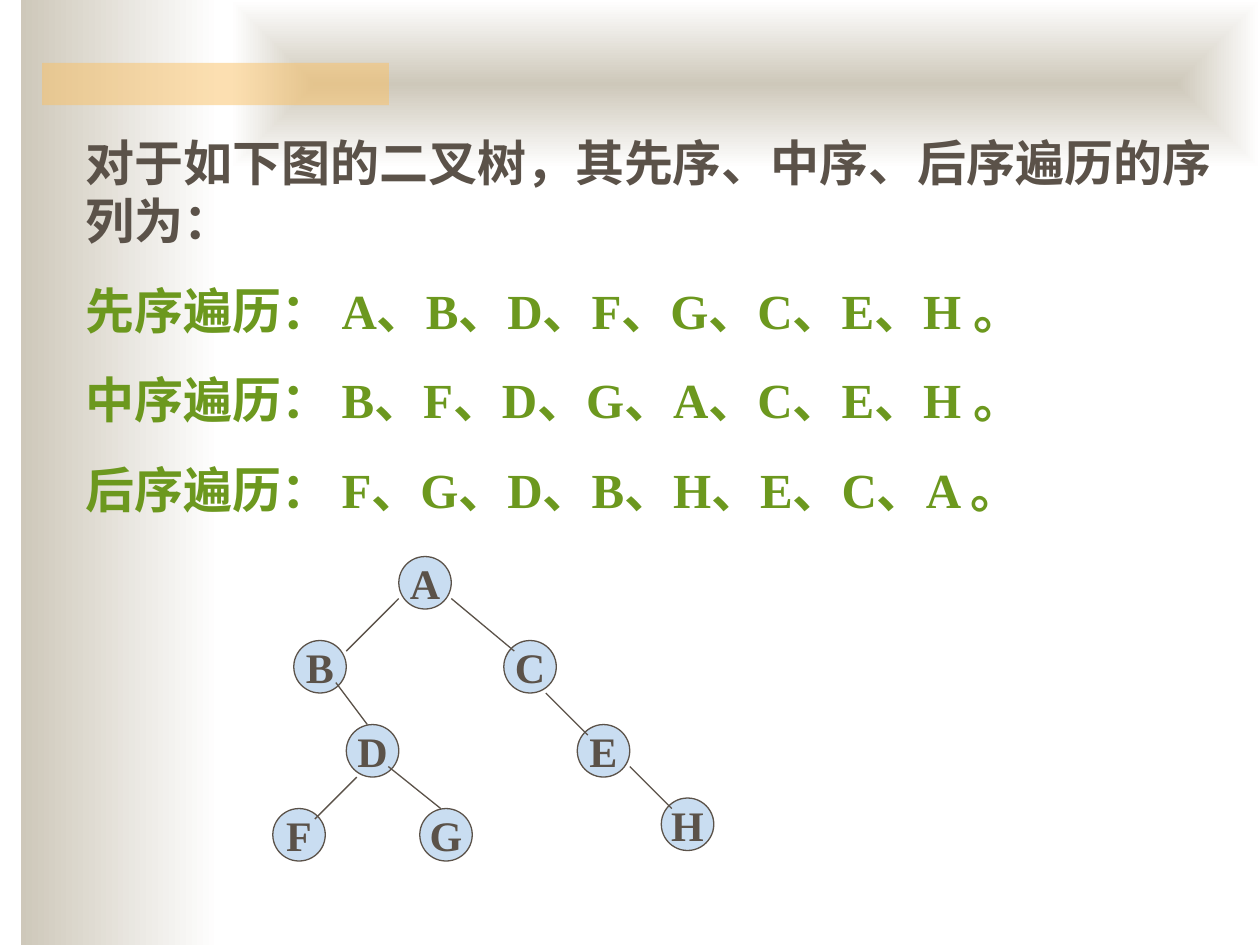
import pptx
import pptx.util
import pptx.dml.color
import pptx.enum.shapes
import pptx.enum.text
import pptx.oxml.ns
from lxml import etree
from pptx.util import Cm, Pt

COLORS = {"ink": "5B5249", "answer": "6C981E", "node": "C9DDF1",
          "sand": "CEC8BA", "white": "FFFFFF", "accent": "FAC164"}
FONT = "Times New Roman"
UNIT = 2.54 / 12  # the tree sits on a grid of twelfths of an inch
NODE_SIZE = 5

# Top-left corner of each node, in grid units
NODES = {"A": (12, 0), "B": (2, 8), "C": (22, 8), "D": (7, 16),
         "F": (0, 24), "G": (14, 24), "E": (29, 16), "H": (37, 23)}
# Ends of each branch, in grid units
BRANCHES = [((12, 4), (7, 9)), ((17, 4), (23, 9)), ((6, 12), (9, 16)),
            ((8, 21), (4, 25)), ((11, 20), (16, 24)),
            ((34, 20), (38, 24)), ((26, 13), (30, 17))]

QUESTION = "对于如下图的二叉树，其先序、中序、后序遍历的序列为："
TRAVERSALS = {"先序": "ABDFGCEH", "中序": "BFDGACEH", "后序": "FGDBHECA"}


def rgb(name):
    return pptx.dml.color.RGBColor.from_string(COLORS[name])


def qn(tag):
    return pptx.oxml.ns.qn(tag)


def add_preset(slide, preset, left, top, width, height):
    shape = slide.shapes.add_shape(preset, Cm(left), Cm(top), Cm(width), Cm(height))
    shape.shadow.inherit = False
    shape.line.fill.background()
    return shape


def style_text(paragraph, size, color):
    for run in paragraph.runs:
        run.font.name = FONT
        run.font.size = Pt(size)
        run.font.bold = True
        run.font.color.rgb = rgb(color)


def fade_to_white(shape):
    shape.fill.gradient()
    shape.fill.gradient_angle = 0
    for stop, color, position in zip(shape.fill.gradient_stops, ("sand", "white"), (0, 1)):
        stop.color.rgb = rgb(color)
        stop.position = position


def add_backdrop(slide, left, top, width, height):
    rectangle = pptx.enum.shapes.MSO_SHAPE.RECTANGLE

    # Side band fading to the right
    side_band = add_preset(slide, rectangle, left + 0.42, top, 4.02, height)
    fade_to_white(side_band)

    # Top band fading from its centre outwards
    top_band = add_preset(slide, rectangle, left + 4.66, top, width - 4.66, 3.39)
    fade_to_white(top_band)
    gradient = top_band.element.spPr.find(qn("a:gradFill"))
    gradient.remove(gradient.find(qn("a:lin")))
    shade = etree.SubElement(gradient, qn("a:path"), {"path": "rect"})
    etree.SubElement(shade, qn("a:fillToRect"),
                     {side: "50000" for side in "ltrb"})

    # Half-transparent accent bar
    accent = add_preset(slide, rectangle, left + 0.85, top + 1.27, 6.99, 0.85)
    accent.fill.solid()
    accent.fill.fore_color.rgb = rgb("accent")
    accent_color = accent.element.spPr.find(qn("a:solidFill"))[0]
    etree.SubElement(accent_color, qn("a:alpha"), {"val": "50000"})


def add_sequences(slide, left, top, width, height):
    box = slide.shapes.add_textbox(Cm(left), Cm(top), Cm(width), Cm(height))
    frame = box.text_frame
    frame.word_wrap = True
    question = frame.paragraphs[0]
    question.text = QUESTION
    style_text(question, 28, "ink")
    for order, letters in TRAVERSALS.items():
        answer = frame.add_paragraph()
        answer.text = f"{order}遍历： {'、'.join(letters)} 。"
        answer.space_before = Pt(17.5)
        style_text(answer, 28, "answer")


def add_tree(slide, left, top):
    def place(point):
        return left + point[0] * UNIT, top + point[1] * UNIT

    # Nodes
    for letter, corner in NODES.items():
        node = add_preset(slide, pptx.enum.shapes.MSO_SHAPE.OVAL, *place(corner),
                          NODE_SIZE * UNIT, NODE_SIZE * UNIT)
        node.fill.solid()
        node.fill.fore_color.rgb = rgb("node")
        node.line.color.rgb = rgb("ink")
        node.line.width = Pt(0.75)
        frame = node.text_frame
        frame.word_wrap = False
        frame.vertical_anchor = pptx.enum.text.MSO_ANCHOR.MIDDLE
        label = frame.paragraphs[0]
        label.text = letter
        label.alignment = pptx.enum.text.PP_ALIGN.CENTER
        style_text(label, 24, "ink")

    # Branches
    for ends in BRANCHES:
        coordinates = [Cm(value) for end in ends for value in place(end)]
        branch = slide.shapes.add_connector(
            pptx.enum.shapes.MSO_CONNECTOR.STRAIGHT, *coordinates)
        branch.line.color.rgb = rgb("ink")
        branch.line.width = Pt(0.75)
        etree.SubElement(branch.element.spPr, qn("a:effectLst"))


def main():
    deck = pptx.Presentation()
    deck.slide_width, deck.slide_height = Cm(25.4), Cm(19.05)
    slide = deck.slides.add_slide(deck.slide_layouts[6])
    add_backdrop(slide, 0, 0, 25.4, 19.05)
    add_sequences(slide, 1.48, 2.54, 23.5, 8.05)
    add_tree(slide, 5.5, 11.22)
    deck.save("out.pptx")


if __name__ == "__main__":
    main()
